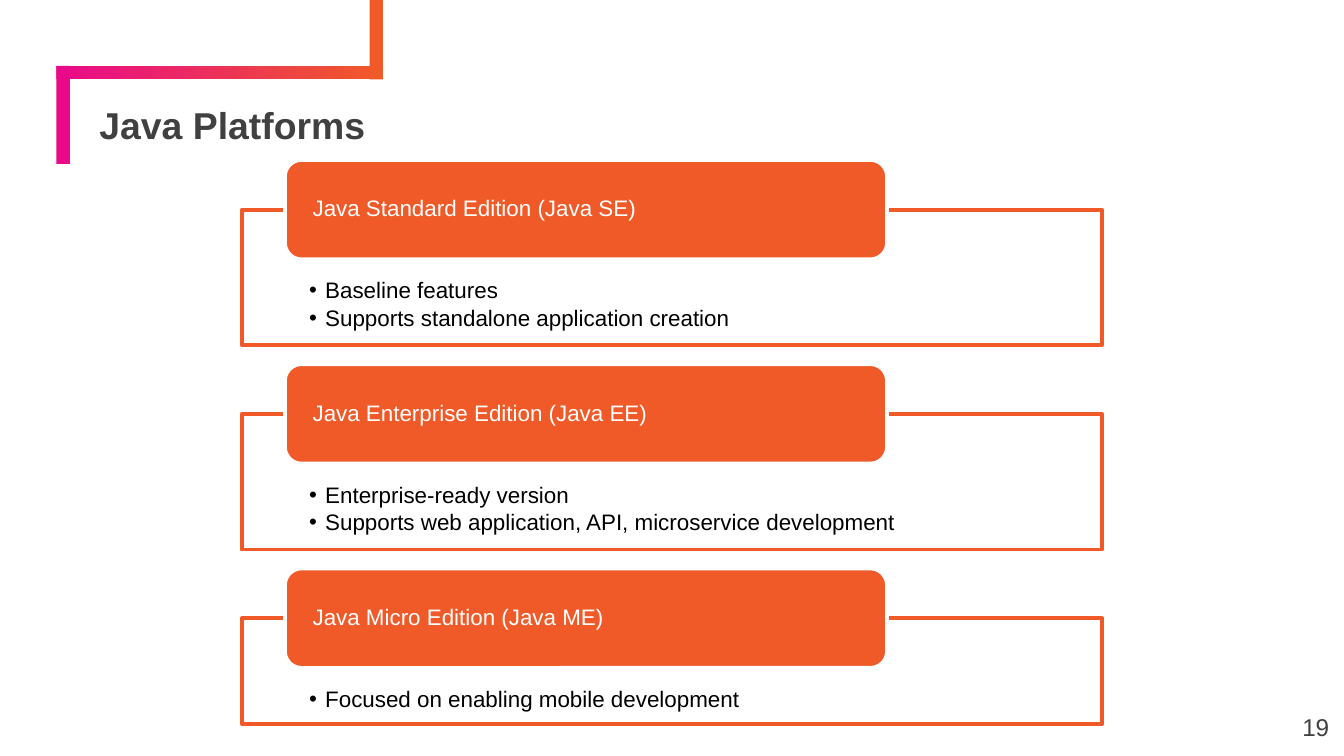
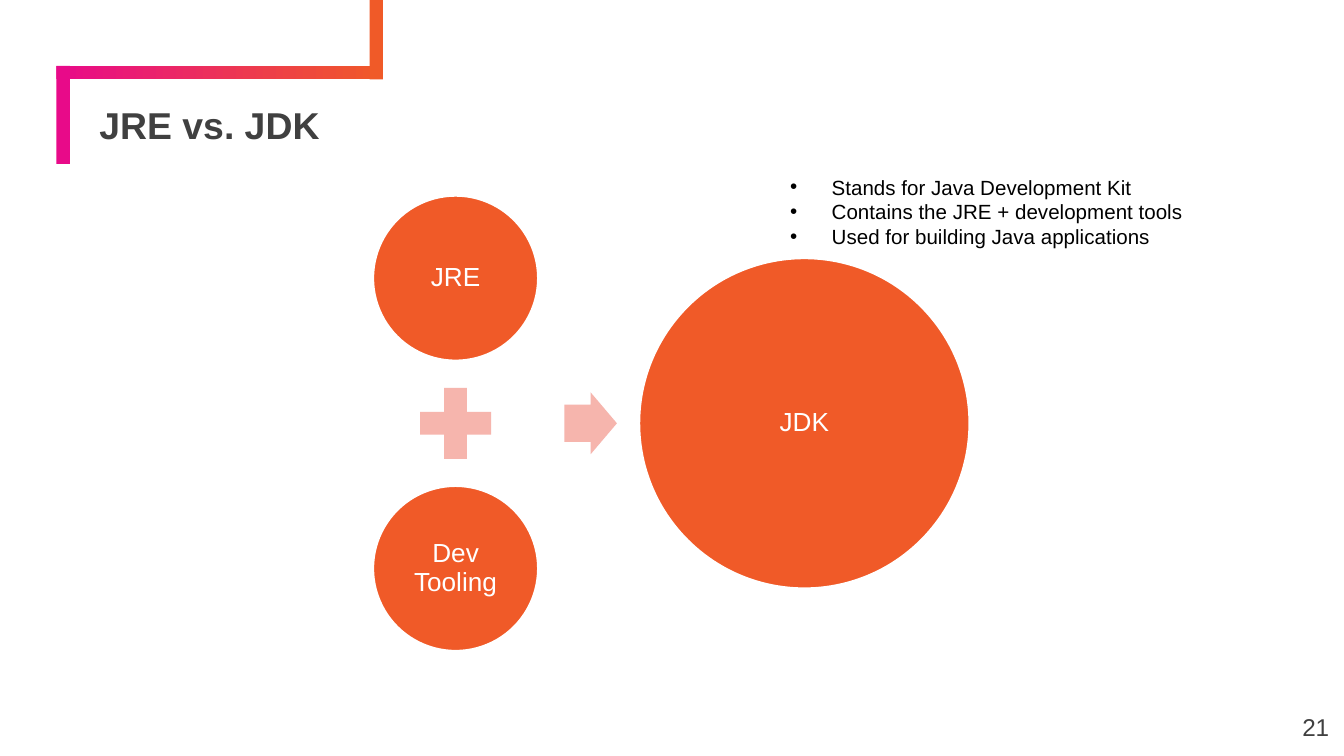
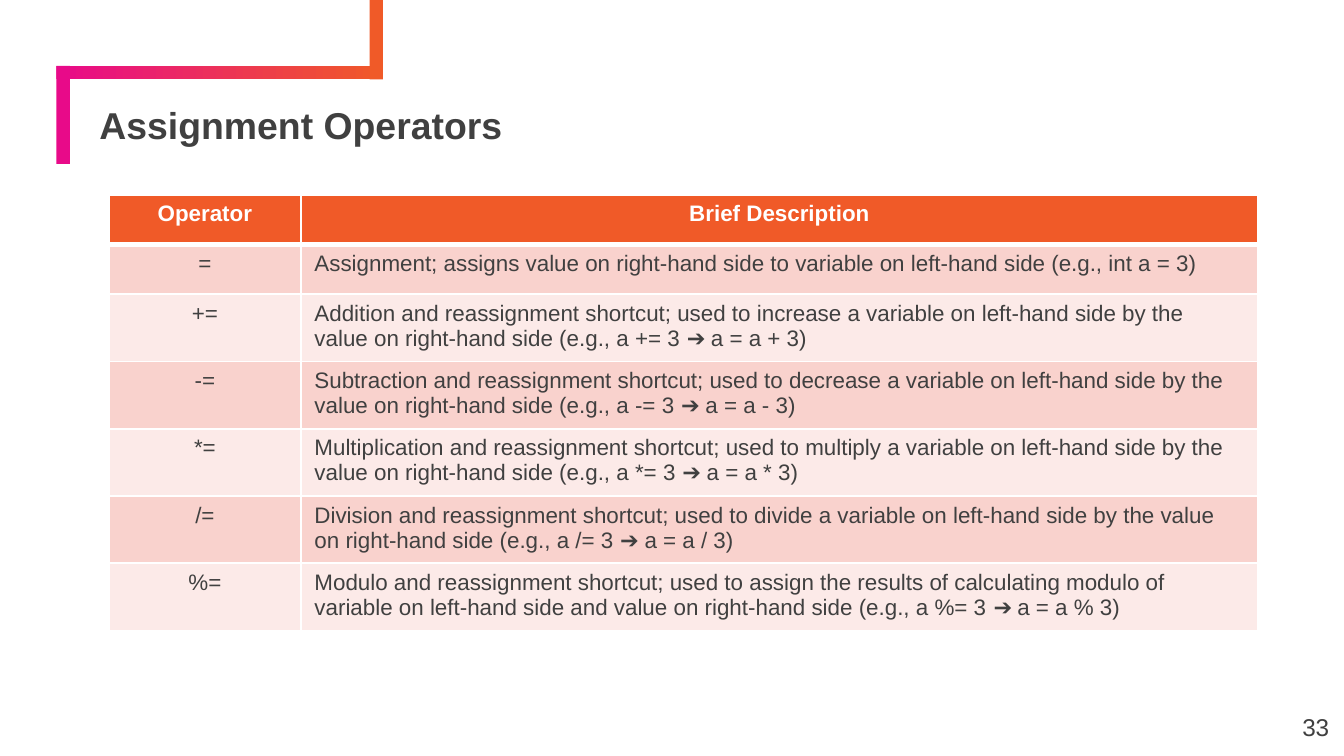
from typing import NamedTuple

from lxml import etree
from pptx import Presentation
from pptx.dml.color import RGBColor
from pptx.enum.shapes import MSO_SHAPE
from pptx.enum.text import MSO_ANCHOR, MSO_AUTO_SIZE, PP_ALIGN
from pptx.oxml.ns import qn
from pptx.util import Inches, Pt

RECTANGLE, ROUNDED = MSO_SHAPE.RECTANGLE, MSO_SHAPE.ROUNDED_RECTANGLE
CIRCLE, PLUS, ARROW = MSO_SHAPE.OVAL, MSO_SHAPE.MATH_PLUS, MSO_SHAPE.RIGHT_ARROW
TOP, MIDDLE = MSO_ANCHOR.TOP, MSO_ANCHOR.MIDDLE
LEFT, CENTER, RIGHT = PP_ALIGN.LEFT, PP_ALIGN.CENTER, PP_ALIGN.RIGHT
FIT_SHAPE = MSO_AUTO_SIZE.SHAPE_TO_FIT_TEXT

ORANGE, PINK, SALMON = "F05A28", "E80A89", "F6B5AD"
WHITE, BLACK, GRAY = "FFFFFF", "000000", "404040"
BANDS = ["F9D2CD", "FCEAE8"]
FONT = "Arial"
COLUMNS, ROWS = 100, 56.25
SIDES = ["left", "top", "right", "bottom"]
LABEL_INSETS = (0.07, 0.04, 0.07, 0.04)

EDITIONS = [
    ("Java Standard Edition (Java SE)",
     ["Baseline features", "Supports standalone application creation"]),
    ("Java Enterprise Edition (Java EE)",
     ["Enterprise-ready version", "Supports web application, API, microservice development"]),
    ("Java Micro Edition (Java ME)", ["Focused on enabling mobile development"]),
]
JDK_FACTS = [
    "Stands for Java Development Kit",
    "Contains the JRE + development tools",
    "Used for building Java applications",
]
OPERATORS = [
    ("Operator", "Brief Description"),
    ("=", "Assignment; assigns value on right-hand side to variable on left-hand side "
          "(e.g., int a = 3)"),
    ("+=", "Addition and reassignment shortcut; used to increase a variable on left-hand side "
           "by the value on right-hand side (e.g., a += 3 ➔ a = a + 3)"),
    ("-=", "Subtraction and reassignment shortcut; used to decrease a variable on left-hand side "
           "by the value on right-hand side (e.g., a -= 3 ➔ a = a - 3)"),
    ("*=", "Multiplication and reassignment shortcut; used to multiply a variable on left-hand side "
           "by the value on right-hand side (e.g., a *= 3 ➔ a = a * 3)"),
    ("/=", "Division and reassignment shortcut; used to divide a variable on left-hand side "
           "by the value on right-hand side (e.g., a /= 3 ➔ a = a / 3)"),
    ("%=", "Modulo and reassignment shortcut; used to assign the results of calculating modulo "
           "of variable on left-hand side and value on right-hand side (e.g., a %= 3 ➔ a = a % 3)"),
]


def cells(count):
    """Length of a number of grid cells, each a tenth of an inch square."""
    return Inches(count / 10)


class Box(NamedTuple):
    """An area of the slide in grid cells."""
    left: float
    top: float
    width: float
    height: float

    def inside(self, across, down, width, height):
        return Box(self.left + across, self.top + down, width, height)

    def lengths(self):
        return [cells(count) for count in self]


def color(hex_string):
    return RGBColor.from_string(hex_string)


def set_fill(target, hex_string):
    target.fill.solid()
    target.fill.fore_color.rgb = color(hex_string)


def add_bullet(para, indent):
    properties = para._p.get_or_add_pPr()
    properties.set("marL", str(Inches(indent)))
    properties.set("indent", str(-Inches(indent)))
    bullet_color = etree.SubElement(properties, qn("a:buClr"))
    etree.SubElement(bullet_color, qn("a:srgbClr"), val=BLACK)
    etree.SubElement(properties, qn("a:buFont"), typeface=FONT)
    etree.SubElement(properties, qn("a:buChar"), char="•")


def write(frame, lines, size, ink, bold=False, indent=0, **layout):
    """Fill a text frame, one paragraph a line; layout holds paragraph attributes."""
    for number, line in enumerate(lines):
        para = frame.add_paragraph() if number else frame.paragraphs[0]
        if indent:
            add_bullet(para, indent)
        for name, value in layout.items():
            setattr(para, name, value)
        span = para.add_run()
        span.text = line
        for name, value in {"name": FONT, "size": Pt(size), "bold": bold}.items():
            setattr(span.font, name, value)
        span.font.color.rgb = color(ink)


def set_frame(frame, insets, anchor=MIDDLE):
    frame.word_wrap = True
    frame.vertical_anchor = anchor
    for side, inset in zip(SIDES, insets):
        setattr(frame, f"margin_{side}", Inches(inset))
    return frame


def add_text_box(page, box, insets, anchor=MIDDLE):
    return set_frame(page.shapes.add_textbox(*box.lengths()).text_frame, insets, anchor)


def add_block(page, kind, box, fill, outline=None):
    block = page.shapes.add_shape(kind, *box.lengths())
    block.shadow.inherit = False
    set_fill(block, fill)
    if outline:
        block.line.color.rgb = color(outline)
        block.line.width = Pt(2)
    else:
        block.line.fill.background()
    return block


def add_corner_frame(page, box):
    bar = 1
    middle = 4.9
    beam = add_block(page, RECTANGLE, box.inside(0, middle, box.width, bar), PINK)
    beam.fill.gradient()
    beam.fill.gradient_angle = 0
    for stop, hex_string, position in zip(beam.fill.gradient_stops, [PINK, ORANGE], [0, 1]):
        stop.color.rgb = color(hex_string)
        stop.position = position
    add_block(page, RECTANGLE, box.inside(0, middle, bar, box.height - middle), PINK)
    add_block(page, RECTANGLE, box.inside(box.width - bar, 0, bar, middle + bar), ORANGE)


def add_page(deck, title, number):
    page = deck.slides.add_slide(deck.slide_layouts[6])
    add_corner_frame(page, Box(4.2, 0, 24.3, 12.2))
    title_frame = add_text_box(page, Box(6.7, 7.8, 90.3, 3.4), LABEL_INSETS)
    write(title_frame, [title], 20, GRAY, bold=True, line_spacing=0.9)
    number_frame = add_text_box(page, Box(93.6, 51.9, 6, 4.3), LABEL_INSETS)
    write(number_frame, [str(number)], 13, GRAY, alignment=RIGHT)
    return page


def add_edition(page, box, name, features):
    """Outlined panel of features with its name on a tab across the top edge."""
    panel = add_block(page, RECTANGLE, box, WHITE, ORANGE)
    panel_color = panel._element.spPr.find(f"{qn('a:solidFill')}/{qn('a:srgbClr')}")
    etree.SubElement(panel_color, qn("a:alpha"), val="90000")
    write(set_frame(panel.text_frame, (0.5, 0.52, 0.5, 0.09), TOP), features, 12, BLACK,
          indent=0.12, alignment=LEFT, line_spacing=0.9, space_after=Pt(1.8))
    tab_height = 7.4
    tab_box = box.inside(box.width * 0.05, -tab_height / 2, box.width * 0.7, tab_height)
    tab = add_block(page, ROUNDED, tab_box, ORANGE, WHITE)
    write(set_frame(tab.text_frame, (0.17, 0, 0.17, 0)), [name], 12, WHITE,
          alignment=LEFT, line_spacing=0.9)


def add_editions(page, box):
    gap = 5.1
    down = 0
    for name, features in EDITIONS:
        height = 5.7 + 2.2 * len(features)
        add_edition(page, box.inside(0, down, box.width, height), name, features)
        down += height + gap


def add_circle(page, box, label):
    circle = add_block(page, CIRCLE, box, ORANGE, WHITE)
    write(set_frame(circle.text_frame, [0.02] * 4), [label], 14, WHITE,
          alignment=CENTER, line_spacing=0.9)


def add_sum(page, box):
    """Two small circles added up to a large one."""
    small, large, plus = 12.4, 24.7, 7.2
    arrow_width, arrow_height = 3.9, 4.6
    middle = box.height / 2
    add_circle(page, box.inside(0, 0, small, small), "JRE")
    add_block(page, PLUS, box.inside((small - plus) / 2, middle - plus / 2, plus, plus), SALMON)
    add_circle(page, box.inside(0, box.height - small, small, small), "Dev Tooling")
    arrow_box = box.inside(small + 1.9, middle - arrow_height / 2, arrow_width, arrow_height)
    arrow = add_block(page, ARROW, arrow_box, SALMON)
    arrow.adjustments[0] = 0.6
    add_circle(page, box.inside(box.width - large, middle - large / 2, large, large), "JDK")


def add_facts(page, box):
    frame = add_text_box(page, box, (0.1, 0.05, 0.1, 0.05), TOP)
    frame.auto_size = FIT_SHAPE
    write(frame, JDK_FACTS, 11, BLACK, indent=0.31)


def set_borders(cell, bottom_width):
    properties = cell._tc.get_or_add_tcPr()
    widths = {"a:lnL": 1, "a:lnR": 1, "a:lnT": 1, "a:lnB": bottom_width}
    for position, (tag, width) in enumerate(widths.items()):
        border = etree.Element(qn(tag), w=str(Pt(width)))
        fill = etree.SubElement(border, qn("a:solidFill"))
        etree.SubElement(fill, qn("a:srgbClr"), val=WHITE)
        properties.insert(position, border)


def add_operator_table(page, box):
    table = page.shapes.add_table(len(OPERATORS), 2, *box.lengths()).table
    first_width = 14.3
    for column, width in zip(table.columns, [first_width, box.width - first_width]):
        column.width = cells(width)
    for row_number, texts in enumerate(OPERATORS):
        is_header = row_number == 0
        table.rows[row_number].height = cells(box.height / len(OPERATORS))
        for column_number, text in enumerate(texts):
            cell = table.cell(row_number, column_number)
            set_fill(cell, ORANGE if is_header else BANDS[(row_number - 1) % 2])
            set_borders(cell, 3 if is_header else 1)
            centered = is_header or column_number == 0
            write(cell.text_frame, [text], 12, WHITE if is_header else GRAY, bold=is_header,
                  alignment=CENTER if centered else LEFT)


def main():
    deck = Presentation()
    deck.slide_width, deck.slide_height = cells(COLUMNS), cells(ROWS)
    add_editions(add_page(deck, "Java Platforms", 19), Box(18, 15.6, 64, 38.2))
    kit_page = add_page(deck, "JRE vs. JDK", 21)
    add_sum(kit_page, Box(27.7, 14.5, 44.5, 34))
    add_facts(kit_page, Box(57.8, 12.5, 33.1, 6.6))
    add_operator_table(add_page(deck, "Assignment Operators", 33), Box(8.1, 14.5, 85.5, 25.9))
    deck.save("out.pptx")


if __name__ == "__main__":
    main()
